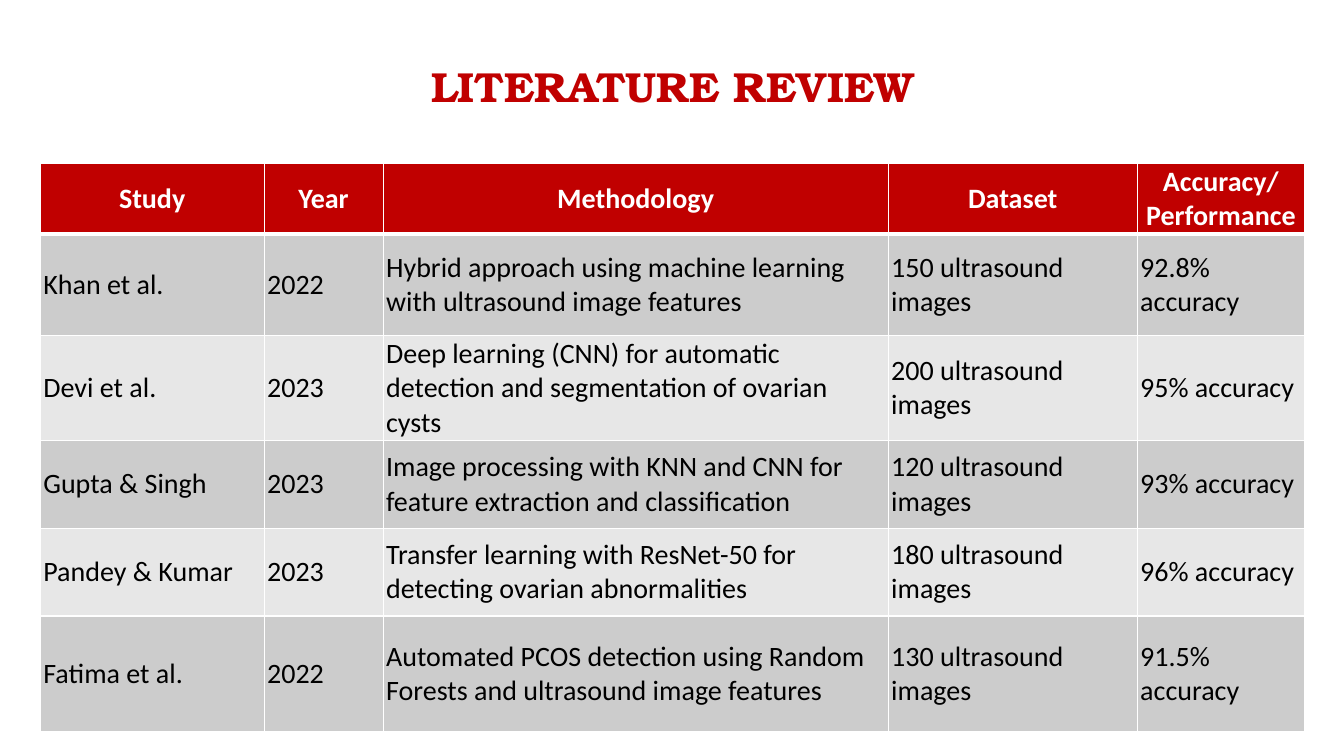
from lxml import etree
from pptx import Presentation
from pptx.dml.color import RGBColor
from pptx.enum.text import MSO_ANCHOR, PP_ALIGN
from pptx.oxml.ns import qn
from pptx.util import Inches, Pt

MIDDLE = MSO_ANCHOR.MIDDLE
LEFT, CENTER = PP_ALIGN.LEFT, PP_ALIGN.CENTER
RED = RGBColor(0xC0, 0x00, 0x00)
WHITE = RGBColor(0xFF, 0xFF, 0xFF)
BLACK = RGBColor(0x00, 0x00, 0x00)
DARK = RGBColor(0xCC, 0xCC, 0xCC)
LIGHT = RGBColor(0xE7, 0xE7, 0xE7)

WIDTHS = [2.22, 1.18, 5.01, 2.47, 1.66]
HEIGHTS = [0.69, 1.01, 1.03, 0.87, 0.87, 1.15]
ROWS = [
    ("Study", "Year", "Methodology", "Dataset", "Accuracy/Performance"),
    ("Khan et al.", "2022",
     "Hybrid approach using machine learning with ultrasound image features",
     "150 ultrasound images", "92.8% accuracy"),
    ("Devi et al.", "2023",
     "Deep learning (CNN) for automatic detection and segmentation of ovarian cysts",
     "200 ultrasound images", "95% accuracy"),
    ("Gupta & Singh", "2023",
     "Image processing with KNN and CNN for feature extraction and classification",
     "120 ultrasound images", "93% accuracy"),
    ("Pandey & Kumar", "2023",
     "Transfer learning with ResNet-50 for detecting ovarian abnormalities",
     "180 ultrasound images", "96% accuracy"),
    ("Fatima et al.", "2022",
     "Automated PCOS detection using Random Forests and ultrasound image features",
     "130 ultrasound images", "91.5% accuracy"),
]


def add_run(para, text, font, size, color, bold):
    run = para.add_run()
    run.text = text
    run.font.name = font
    run.font.size = Pt(size)
    run.font.color.rgb = color
    run.font.bold = bold


def add_edges(cell, top, bottom):
    props = cell._tc.get_or_add_tcPr()
    for side, width in (("L", 1), ("R", 1), ("T", top), ("B", bottom)):
        line = etree.SubElement(props, qn(f"a:ln{side}"), w=str(Pt(width)))
        fill = etree.SubElement(line, qn("a:solidFill"))
        etree.SubElement(fill, qn("a:srgbClr"), val=str(WHITE))


def fill_cell(cell, text, row):
    head = row == 0
    add_edges(cell, 3 if row == 1 else 1, 3 if head else 1)
    cell.fill.solid()
    cell.fill.fore_color.rgb = RED if head else DARK if row % 2 else LIGHT
    cell.vertical_anchor = MIDDLE
    cell.margin_left = cell.margin_right = Inches(0.03)
    cell.margin_top = cell.margin_bottom = Inches(0.01)
    para = cell.text_frame.paragraphs[0]
    para.alignment = CENTER if head else LEFT
    add_run(para, text, "Calibri", 20, WHITE if head else BLACK, head)


def set_title(slide, left, top, width, height):
    title = slide.shapes.title
    title.left, title.top = Inches(left), Inches(top)
    title.width, title.height = Inches(width), Inches(height)
    frame = title.text_frame
    frame.word_wrap = True
    frame.vertical_anchor = MIDDLE
    para = frame.paragraphs[0]
    para.alignment = CENTER
    para.line_spacing = 0.9
    add_run(para, "LITERATURE REVIEW", "TeX Gyre Bonum", 30, RED, True)


def add_studies(slide, left, top):
    table = slide.shapes.add_table(
        len(ROWS), len(WIDTHS), Inches(left), Inches(top),
        Inches(sum(WIDTHS)), Inches(sum(HEIGHTS))).table
    for column, width in zip(table.columns, WIDTHS):
        column.width = Inches(width)
    for index, (row, height) in enumerate(zip(table.rows, HEIGHTS)):
        row.height = Inches(height)
        for cell, text in zip(row.cells, ROWS[index]):
            fill_cell(cell, text, index)


def main():
    deck = Presentation()
    deck.slide_width, deck.slide_height = Inches(13.33), Inches(7.5)
    slide = deck.slides.add_slide(deck.slide_layouts[5])
    set_title(slide, 0.92, 0.6, 11.5, 0.57)
    add_studies(slide, 0.4, 1.62)
    deck.save("out.pptx")


if __name__ == "__main__":
    main()
